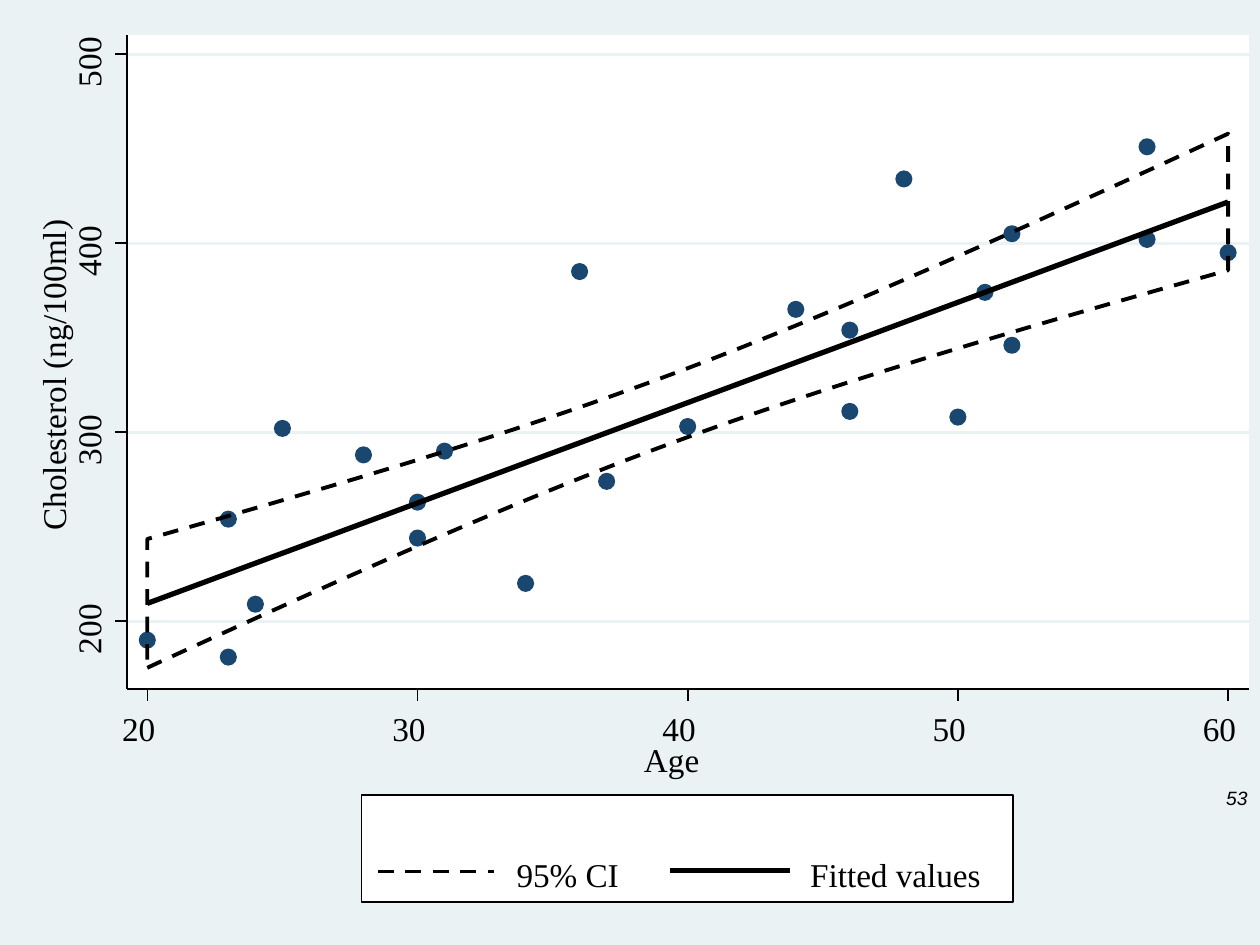
from pptx import Presentation
from pptx.dml.color import RGBColor
from pptx.enum.dml import MSO_LINE
from pptx.enum.shapes import MSO_CONNECTOR, MSO_SHAPE
from pptx.enum.text import MSO_ANCHOR, PP_ALIGN
from pptx.oxml.ns import qn
from pptx.util import Pt
from lxml.etree import SubElement
from math import sqrt

PALE = RGBColor(0xEA, 0xF2, 0xF3)
WHITE = RGBColor(0xFF, 0xFF, 0xFF)
BLACK = RGBColor(0, 0, 0)
NAVY = RGBColor(0x1A, 0x47, 0x6F)

# Plot frame, in points
LEFT, TOP, RIGHT, BASE = 72.7, 20.2, 713.5, 393.6
TICK, DOT = 7.2, 8

# Age and cholesterol of each person
DATA = [
    (46, 354), (20, 190), (52, 405), (30, 263), (57, 451), (25, 302),
    (28, 288), (36, 385), (57, 402), (44, 365), (24, 209), (31, 290),
    (52, 346), (23, 254), (60, 395), (48, 434), (51, 374), (50, 308),
    (34, 220), (46, 311), (23, 181), (40, 303), (37, 274), (30, 244),
]


def px(age):
    return 84.2 + (age - 20) * 15.44


def py(chol):
    return 355 - (chol - 200) * 1.08


def fit(age):
    return 209.4 + 5.31 * (age - 20)


def half(age):
    """Half the width of the 95% band."""
    return sqrt(331 + 2.25 * (age - 39.2) ** 2)


class Board:
    font, size, thin = "Times New Roman", 19, 0.88

    def __init__(self, slide):
        self.slide = slide
        self.shapes = slide.shapes
        fill = slide.background.fill
        fill.solid()
        fill.fore_color.rgb = PALE

    def pen(self, line, color, width, dash=None):
        line.color.rgb = color
        line.width = Pt(width)
        if dash:
            line.dash_style = dash

    def shape(self, kind, x, y, w, h, fill, edge, width):
        item = self.shapes.add_shape(kind, Pt(x), Pt(y), Pt(w), Pt(h))
        item.shadow.inherit = False
        item.fill.solid()
        item.fill.fore_color.rgb = fill
        self.pen(item.line, edge, width)

    def box(self, x, y, w, h, edge):
        self.shape(MSO_SHAPE.RECTANGLE, x, y, w, h, WHITE, edge, self.thin)

    def dot(self, x, y):
        self.shape(MSO_SHAPE.OVAL, x - DOT / 2, y - DOT / 2, DOT, DOT,
                   NAVY, NAVY, 1.75)

    def line(self, x1, y1, x2, y2, color=BLACK, width=thin, dash=None):
        item = self.shapes.add_connector(
            MSO_CONNECTOR.STRAIGHT, Pt(x1), Pt(y1), Pt(x2), Pt(y2))
        self.pen(item.line, color, width, dash)
        SubElement(item._element.spPr, qn("a:effectLst"))

    def curve(self, points, width, dash=None, close=False):
        spots = [(Pt(px(age)), Pt(py(chol))) for age, chol in points]
        path = self.shapes.build_freeform(*spots[0])
        path.add_line_segments(spots[1:], close=close)
        item = path.convert_to_shape()
        item.shadow.inherit = False
        item.fill.background()
        self.pen(item.line, BLACK, width, dash)

    def text(self, words, x, y, w, h=23, turn=0):
        item = self.shapes.add_textbox(Pt(x), Pt(y), Pt(w), Pt(h))
        item.rotation = turn
        frame = item.text_frame
        frame.margin_left = frame.margin_right = 0
        frame.margin_top = frame.margin_bottom = 0
        frame.word_wrap = False
        frame.text = words
        font = frame.paragraphs[0].runs[0].font
        font.name, font.size = self.font, Pt(self.size)
        font.color.rgb = BLACK
        return frame

    def page(self, num, x, y, w, h):
        frame = self.text(num, x, y, w, h)
        frame.margin_left = frame.margin_right = Pt(7.2)
        frame.word_wrap = True
        frame.vertical_anchor = MSO_ANCHOR.MIDDLE
        par = frame.paragraphs[0]
        par.alignment = PP_ALIGN.RIGHT
        font = par.runs[0].font
        font.name, font.size, font.italic = "Arial", Pt(11), True


def main():
    deck = Presentation()
    deck.slide_width, deck.slide_height = Pt(720), Pt(540)
    board = Board(deck.slides.add_slide(deck.slide_layouts[6]))
    levels = range(200, 501, 100)

    # Plot area and grid
    board.box(LEFT, TOP, RIGHT - LEFT, BASE - TOP, WHITE)
    for chol in levels:
        board.line(LEFT, py(chol), RIGHT, py(chol), PALE, 1.75)

    # Observations
    for age, chol in DATA:
        board.dot(px(age), py(chol))

    # Confidence band and fitted line
    ages = [20 + step * 0.4 for step in range(101)]
    low = [(age, fit(age) - half(age)) for age in ages]
    high = [(age, fit(age) + half(age)) for age in ages]
    board.curve(low + high[::-1], 2.25, MSO_LINE.DASH, close=True)
    board.curve([(age, fit(age)) for age in ages], 3)

    # Vertical axis
    board.line(LEFT, BASE, LEFT, TOP)
    for chol in levels:
        y = py(chol)
        board.line(LEFT, y, LEFT - TICK, y)
        board.text(str(chol), 34.6, y - 8.6, 31.7, turn=270)
    board.text("Cholesterol (ng/100ml)", -66.2, 195.1, 193, turn=270)

    # Horizontal axis
    board.line(LEFT, BASE, RIGHT, BASE)
    for age in range(20, 61, 10):
        x = px(age)
        board.line(x, BASE, x, BASE + TICK)
        board.text(str(age), x - 14.4, 404.6, 21.6)
    board.text("Age", 368, 422.6, 32)

    # Legend
    board.box(206.6, 454.3, 372.2, 61.2, BLACK)
    board.line(216, 498, 282.2, 498, width=2.25, dash=MSO_LINE.DASH)
    board.text("95% CI", 295.2, 488.2, 62.6)
    board.line(383, 497.5, 451.4, 497.5, width=3)
    board.text("Fitted values", 463, 488.2, 108)

    # Slide number
    board.page("53", 687.6, 441.4, 32.4, 28.8)

    deck.save("out.pptx")


if __name__ == "__main__":
    main()
